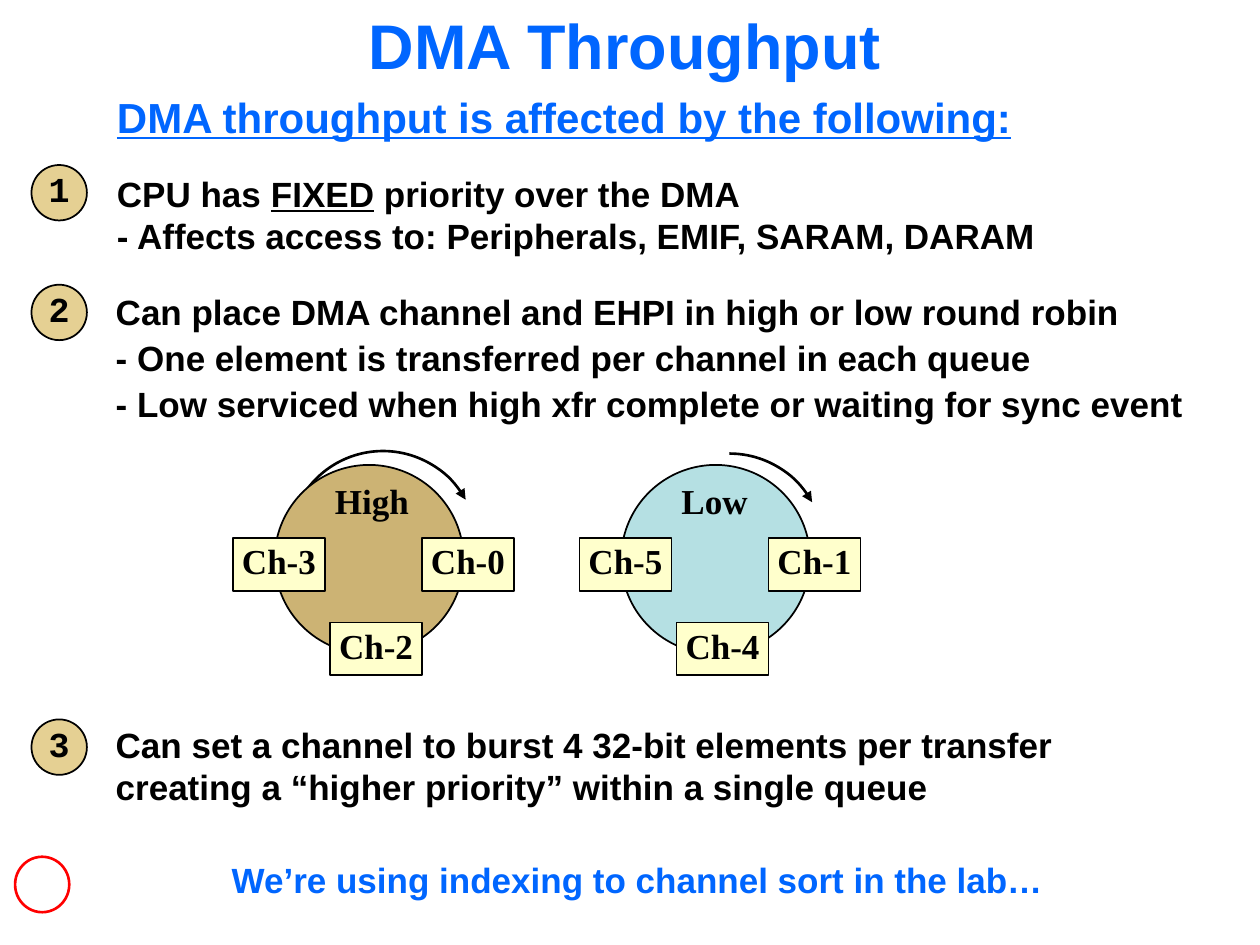
from dataclasses import dataclass

from lxml.etree import SubElement
from pptx import Presentation
from pptx.dml.color import RGBColor
from pptx.enum.shapes import MSO_SHAPE
from pptx.enum.text import MSO_ANCHOR, MSO_AUTO_SIZE, PP_ALIGN
from pptx.oxml.ns import qn
from pptx.util import Inches, Pt

HUES = {
    "blue": "0066FF", "black": "000000", "red": "FF0000", "white": "FFFFFF",
    "gold": "CCB374", "aqua": "B5E0E3", "cream": "FFFFCC", "sand": "E5D093",
}
SERIF = "Times New Roman"


@dataclass
class Wheel:
    name: str
    left: float
    hue: str
    width: float    # width of the name's text box
    top: float      # top of the arrow's circle
    start: float    # angle where the arrow begins
    tags: tuple     # left, bottom, right


@dataclass
class Point:
    num: str
    dot: float      # top of the numbered dot
    box: tuple
    body: tuple     # (text, underlined) pairs
    lead: float = 1


WHEELS = [
    Wheel("High", 2.18, "gold", 0.82, 3.58, 215, ("Ch-3", "Ch-2", "Ch-0")),
    Wheel("Low", 4.93, "aqua", 0.78, 3.6, 270, ("Ch-5", "Ch-4", "Ch-1")),
]
POINTS = [
    Point("1", 1.31, (0.83, 1.32, 7.6, 0.77), (
        ("CPU has ", False), ("FIXED", True),
        (" priority over the DMA\n"
         "- Affects access to: Peripherals, EMIF, SARAM, DARAM", False))),
    Point("2", 2.26, (0.82, 2.22, 8.75, 1.2), ((
        "Can place DMA channel and EHPI in high or low round robin\n"
        "- One element is transferred per channel in each queue\n"
        "- Low serviced when high xfr complete or waiting for sync event",
        False),), 1.1),
    Point("3", 5.71, (0.82, 5.69, 7.8, 0.77), ((
        "Can set a channel to burst 4 32-bit elements per transfer\n"
        "creating a “higher priority” within a single queue", False),)),
]

deck = Presentation()
deck.slide_width, deck.slide_height = Inches(10), Inches(7.5)
slide = deck.slides.add_slide(deck.slide_layouts[6])


def hue(name: str) -> RGBColor:
    return RGBColor.from_string(HUES[name])


def write(shape, body, *, size=20, font="Arial", color="black", bold=True,
          lead=0.8, before=12.5, center=False, middle=False, wrap=False,
          grow=False, pad=0.1) -> None:
    """Fill a shape with text: a string or (text, underlined) pairs."""
    frame = shape.text_frame
    frame.word_wrap = wrap
    frame.auto_size = (MSO_AUTO_SIZE.SHAPE_TO_FIT_TEXT if grow
                       else MSO_AUTO_SIZE.NONE)
    frame.vertical_anchor = MSO_ANCHOR.MIDDLE if middle else MSO_ANCHOR.TOP
    frame.margin_left = frame.margin_right = Inches(pad)
    frame.margin_top = frame.margin_bottom = Inches(0.05)
    para = frame.paragraphs[0]
    para.alignment = PP_ALIGN.CENTER if center else PP_ALIGN.LEFT
    para.line_spacing, para.space_before = lead, Pt(before)
    for part, under in ([(body, False)] if isinstance(body, str) else body):
        for i, line in enumerate(part.split("\n")):
            if i:
                para.add_line_break()
            run = para.add_run()
            run.text = line
            run.font.size, run.font.name = Pt(size), font
            run.font.bold, run.font.underline = bold, under
            run.font.color.rgb = hue(color)


def label(box: tuple, body, **form) -> None:
    write(slide.shapes.add_textbox(*map(Inches, box)), body, **form)


def form(kind, box: tuple, fill: str | None, line="black", width=1.0):
    shape = slide.shapes.add_shape(kind, *map(Inches, box))
    shape.shadow.inherit = False
    if fill:
        shape.fill.solid()
        shape.fill.fore_color.rgb = hue(fill)
    else:
        shape.fill.background()
    shape.line.color.rgb = hue(line)
    shape.line.width = Pt(width)
    return shape


def draw_wheel(wheel: Wheel) -> None:
    # Curved arrow, partly behind the disc
    arc = form(MSO_SHAPE.ARC, (wheel.left + 0.11, wheel.top, 1.5, 1.5),
               None, width=1.5)
    for i, angle in enumerate((wheel.start, 331)):
        arc.adjustments[i] = angle * 0.6
    SubElement(arc.line._get_or_add_ln(), qn("a:tailEnd"), type="triangle")
    # Disc, channel tags and name
    form(MSO_SHAPE.OVAL, (wheel.left, 3.69, 1.5, 1.5), wheel.hue)
    spots = ((-0.33, 4.27), (0.44, 4.94), (1.17, 4.27))
    for tag, (shift, top) in zip(wheel.tags, spots):
        box = form(MSO_SHAPE.RECTANGLE, (wheel.left + shift, top, 0.73, 0.42),
                   "cream")
        write(box, tag, font=SERIF, center=True, middle=True)
    label((wheel.left + 0.38, 3.82, wheel.width, 0.37), wheel.name,
          font=SERIF, grow=True)


def draw_point(point: Point) -> None:
    label(point.box, point.body, lead=point.lead, grow=True)
    dot = form(MSO_SHAPE.OVAL, (0.25, point.dot, 0.44, 0.44), "sand")
    write(dot, point.num, font="Courier New", center=True, middle=True)


# Headings
label((0, 0, 9.92, 0.83), "DMA Throughput", size=36, color="blue", lead=0.75,
      before=0, center=True, middle=True, wrap=True, pad=0.05)
label((0.83, 0.72, 7.35, 0.46),
      [("DMA throughput is affected by the following:", True)],
      size=24, color="blue", lead=0.9, before=15, grow=True)

# Round robin wheels and numbered points
for wheel in WHEELS:
    draw_wheel(wheel)
for point in POINTS:
    draw_point(point)

# Closing line and corner mark
label((1.74, 6.83, 6.7, 0.37),
      "We’re using indexing to channel sort in the lab…",
      color="blue", grow=True)
form(MSO_SHAPE.OVAL, (0.12, 6.8, 0.43, 0.44), "white", line="red", width=1.5)

deck.save("out.pptx")
